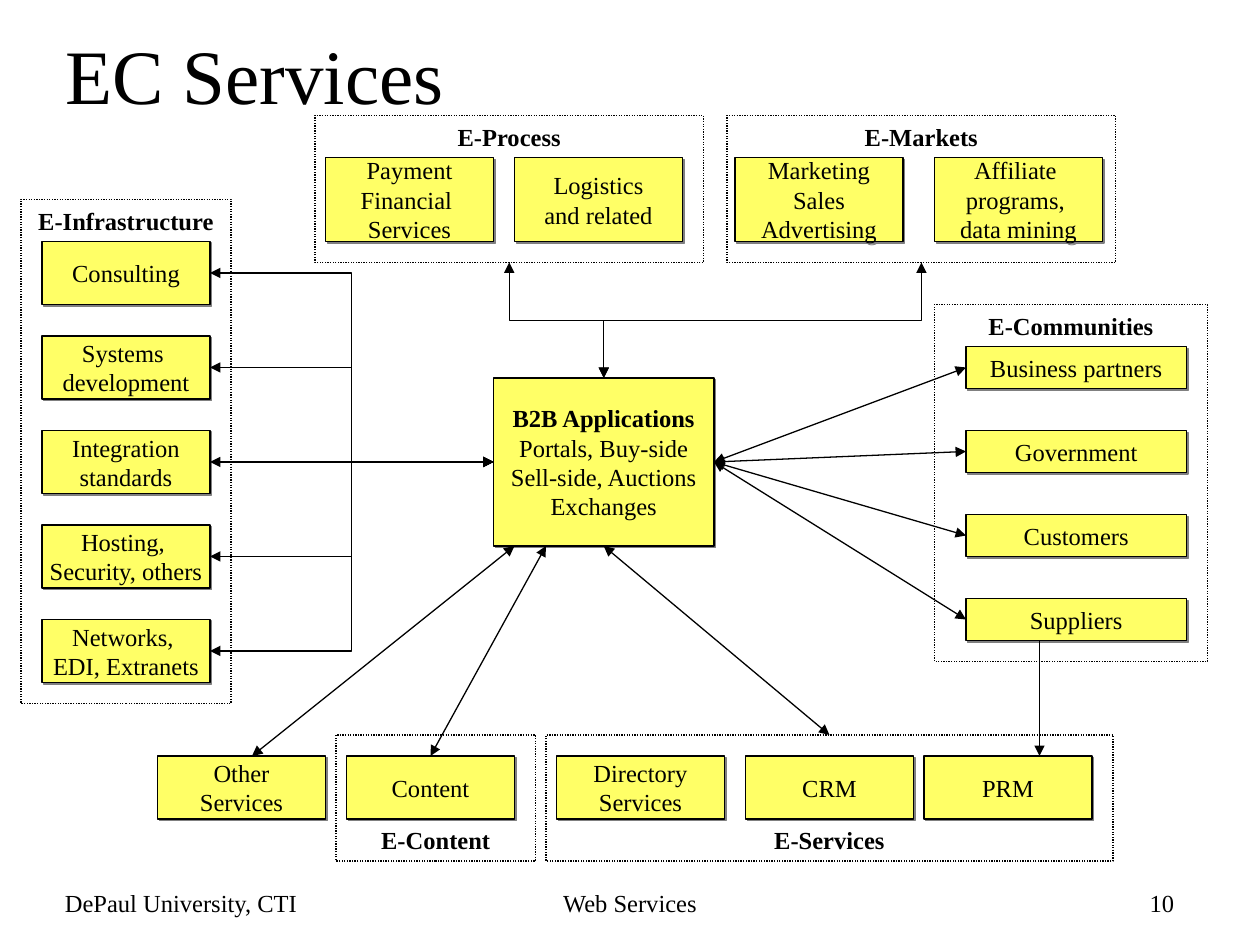
"""Build the EC Services diagram slide on a grid of twelfths of an inch."""
from lxml import etree
from pptx import Presentation, util as u
from pptx.dml.color import RGBColor
from pptx.enum import dml, shapes, text
from pptx.oxml.ns import qn

TITLE = "EC Services"
BLACK, YELLOW, GREY = "000000", "FFFF66", "808080"
TOP, MIDDLE, BOTTOM = text.MSO_ANCHOR.TOP, text.MSO_ANCHOR.MIDDLE, text.MSO_ANCHOR.BOTTOM
LEFT, CENTER, RIGHT = text.PP_ALIGN.LEFT, text.PP_ALIGN.CENTER, text.PP_ALIGN.RIGHT

HUB = (47, 36, 21, 16)
HUB_LINES = ["B2B Applications", "Portals, Buy-side", "Sell-side, Auctions", "Exchanges"]
OTHER = ((15, 72, 16, 6), ["Other", "Services"])
INFRASTRUCTURE = [["Consulting"], ["Systems ", "development"], ["Integration", "standards"],
                  ["Hosting, ", "Security, others"], ["Networks, ", "EDI, Extranets"]]
COMMUNITIES = [["Business partners"], ["Government"], ["Customers"], ["Suppliers"]]
INFRASTRUCTURE_TOPS = [23 + 9 * row for row in range(len(INFRASTRUCTURE))]
COMMUNITY_TOPS = [33 + 8 * row for row in range(len(COMMUNITIES))]

GROUPS = [
    {"name": "E-Process", "area": (30, 11, 37, 14), "anchor": TOP, "size": (16, 8),
     "places": [(31, 15), (49, 15)],
     "items": [["Payment", "Financial ", "Services"], ["Logistics", "and related"]]},
    {"name": "E-Markets", "area": (69.25, 11, 37, 14), "anchor": TOP, "size": (16, 8),
     "places": [(70, 15), (89, 15)],
     "items": [["Marketing", "Sales", "Advertising"], ["Affiliate ", "programs, ", "data mining"]]},
    {"name": "E-Infrastructure", "area": (2, 19, 20, 48), "anchor": TOP, "size": (16, 6),
     "places": [(4, top) for top in INFRASTRUCTURE_TOPS], "items": INFRASTRUCTURE},
    {"name": "E-Communities", "area": (89, 29, 26, 34), "anchor": TOP, "size": (21, 4),
     "places": [(92, top) for top in COMMUNITY_TOPS], "items": COMMUNITIES},
    {"name": "E-Content", "area": (32, 70, 19, 12), "anchor": BOTTOM, "size": (16, 6),
     "places": [(33, 72)], "items": [["Content"]]},
    {"name": "E-Services", "area": (52, 70, 54, 12), "anchor": BOTTOM, "size": (16, 6),
     "places": [(53, 72), (71, 72), (88, 72)],
     "items": [["Directory", "Services"], ["CRM"], ["PRM"]]},
]
FOOTERS = [("DePaul University, CTI", (5, 84, 29, 4), LEFT),
           ("Web Services", (41, 84, 38, 4), CENTER),
           ("10", (86, 84, 27, 4), RIGHT)]
LOWER_LINKS = [((24, 72), (49, 52)), ((41, 72), (52, 52)), ((79, 70), (57.5, 52))]


def grid(*steps):
    return [u.Cm(step * 2.54 / 12) for step in steps]


def color(target, value):
    target.rgb = RGBColor.from_string(value)


def write(frame, lines, align=CENTER, anchor=MIDDLE, size=14, bold_lines=0, wrap=False):
    frame.text = "\n".join(lines)
    frame.vertical_anchor = anchor
    frame.word_wrap = wrap
    for number, para in enumerate(frame.paragraphs):
        para.alignment = align
        values = {"name": "Times New Roman", "size": u.Pt(size), "bold": number < bold_lines}
        for span in para.runs:
            for key, value in values.items():
                setattr(span.font, key, value)
            color(span.font.color, BLACK)


def outline(line):
    line.fill.solid()
    color(line.fill.fore_color, BLACK)
    line.width = u.Pt(0.75)


def add_frame(page, area):
    box = page.shapes.add_shape(shapes.MSO_SHAPE.RECTANGLE, *grid(*area))
    box.shadow.inherit = False
    outline(box.line)
    return box


def add_box(page, area, lines, bold_lines=0):
    box = add_frame(page, area)
    box.fill.solid()
    color(box.fill.fore_color, YELLOW)
    effects = box._element.spPr.find(qn("a:effectLst"))
    shadow = etree.SubElement(effects, qn("a:outerShdw"), dist=str(u.Pt(1.4)),
                              dir="2700000", algn="ctr", rotWithShape="0")
    etree.SubElement(shadow, qn("a:srgbClr"), val=GREY)
    write(box.text_frame, lines, bold_lines=bold_lines)


def add_group(page, group):
    frame = add_frame(page, group["area"])
    frame.fill.background()
    frame.line.dash_style = dml.MSO_LINE.ROUND_DOT
    write(frame.text_frame, [group["name"]], anchor=group["anchor"], bold_lines=1)
    for place, lines in zip(group["places"], group["items"]):
        add_box(page, place + group["size"], lines)


def add_arrow(page, start, end, elbow=False, ends=("headEnd", "tailEnd")):
    kind = shapes.MSO_CONNECTOR.ELBOW if elbow else shapes.MSO_CONNECTOR.STRAIGHT
    arrow = page.shapes.add_connector(kind, *grid(*start, *end))
    outline(arrow.line)
    for name in ends:
        etree.SubElement(arrow.line._get_or_add_ln(), qn("a:" + name), type="triangle")
    etree.SubElement(arrow._element.spPr, qn("a:effectLst"))
    return arrow


def add_rising_elbow(page, start, end):
    """Lay the elbow on its side around the midpoint, then turn it upwards."""
    middle_x, middle_y = (start[0] + end[0]) / 2, (start[1] + end[1]) / 2
    rise, shift = (start[1] - end[1]) / 2, (end[0] - start[0]) / 2
    arrow = add_arrow(page, (middle_x - rise, middle_y - shift),
                      (middle_x + rise, middle_y + shift), elbow=True)
    arrow._element.spPr.xfrm.set("rot", str(270 * 60000))


def main():
    deck = Presentation()
    deck.slide_width, deck.slide_height = grid(120, 90)
    page = deck.slides.add_slide(deck.slide_layouts[5])
    title = page.shapes.title
    title.left, title.top, title.width, title.height = grid(5, 2, 108, 10)
    write(title.text_frame, [TITLE], align=LEFT, size=44, wrap=True)

    add_box(page, HUB, HUB_LINES, bold_lines=1)
    add_box(page, *OTHER)
    for group in GROUPS:
        add_group(page, group)

    left, top, width, height = HUB
    center_x, center_y = left + width / 2, top + height / 2
    for box_top in INFRASTRUCTURE_TOPS:
        start_y = box_top + 3
        add_arrow(page, (20, start_y), (left, center_y), elbow=start_y != center_y)
    for box_top in COMMUNITY_TOPS:
        add_arrow(page, (92, box_top + 2), (left + width, center_y))
    for start, end in LOWER_LINKS:
        add_arrow(page, start, end)
    add_arrow(page, (99, 72), (99, 61), ends=["headEnd"])
    for group in GROUPS[:2]:
        x, y, w, h = group["area"]
        add_rising_elbow(page, (center_x, top), (x + w / 2, y + h))

    for words, area, align in FOOTERS:
        box = page.shapes.add_textbox(*grid(*area))
        write(box.text_frame, [words], align=align, anchor=TOP, wrap=True)
    deck.save("out.pptx")


if __name__ == "__main__":
    main()
